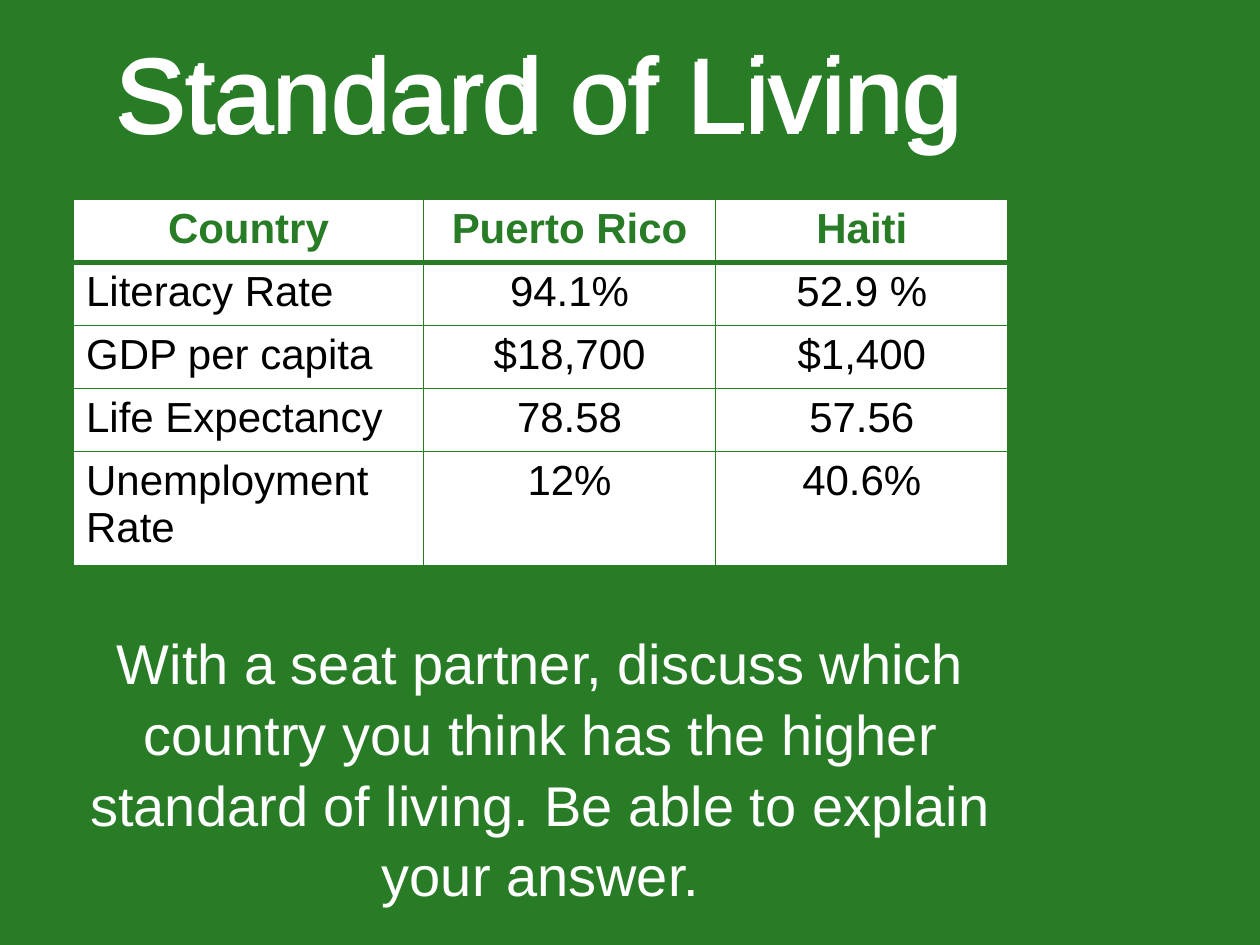
from dataclasses import dataclass

from lxml.etree import SubElement as Sub
from pptx import Presentation
from pptx.dml.color import RGBColor as Rgb
from pptx.enum.text import MSO_ANCHOR as Anchor, PP_ALIGN as Align
from pptx.oxml.ns import qn
from pptx.util import Pt


@dataclass(frozen=True)
class Theme:
    green: str = "287C26"
    white: str = "FFFFFF"
    black: str = "000000"
    face: str = "Arial"
    head: int = 60
    body: int = 32
    cell: int = 24


@dataclass(frozen=True)
class Box:
    left: float
    top: float
    width: float
    height: float

    def pts(self) -> list:
        return [Pt(v) for v in (self.left, self.top, self.width, self.height)]


@dataclass(frozen=True)
class Row:
    name: str
    rico: str
    haiti: str
    height: float = 36


THEME = Theme()
HEAD = Box(12, 18, 594, 66)
GRID = Box(42, 114, 534, 209)
TASK = Box(24, 354, 570, 163)
COLS = (200, 167, 167)
ROWS = (
    Row("Country", "Puerto Rico", "Haiti"),
    Row("Literacy Rate", "94.1%", "52.9 %"),
    Row("GDP per capita", "$18,700", "$1,400"),
    Row("Life Expectancy", "78.58", "57.56"),
    Row("Unemployment Rate", "12%", "40.6%", 65),
)


def apply(item, vals: dict) -> None:
    for key, val in vals.items():
        setattr(item, key, val)


def write(frame, text: str, size: int, color: str, align=Align.CENTER, bold=False) -> None:
    para = frame.paragraphs[0]
    para.alignment = align
    run = para.add_run()
    run.text = text
    apply(run.font, {"name": THEME.face, "size": Pt(size), "bold": bold})
    run.font.color.rgb = Rgb.from_string(color)


def glow(shape) -> None:
    fx = Sub(shape._element.spPr, qn("a:effectLst"))
    cast = Sub(fx, qn("a:outerShdw"), dist=str(Pt(2.5)), dir="8100000", algn="ctr")
    Sub(cast, qn("a:srgbClr"), val=THEME.white)


def edge(cell, widths: dict) -> None:
    props = cell._tc.get_or_add_tcPr()
    for side, width in widths.items():
        line = Sub(props, qn(f"a:ln{side}"), w=str(Pt(width)))
        Sub(Sub(line, qn("a:solidFill")), qn("a:srgbClr"), val=THEME.green)


def draw_head(slide) -> None:
    shape = slide.shapes.title
    apply(shape, dict(zip(("left", "top", "width", "height"), HEAD.pts())))
    apply(shape.text_frame, {"vertical_anchor": Anchor.MIDDLE, "word_wrap": True})
    write(shape.text_frame, "Standard of Living", THEME.head, THEME.white)
    glow(shape)


def draw_grid(slide) -> None:
    table = slide.shapes.add_table(len(ROWS), len(COLS), *GRID.pts()).table
    for col, width in zip(table.columns, COLS):
        col.width = Pt(width)
    for r, row in enumerate(ROWS):
        table.rows[r].height = Pt(row.height)
        for c, text in enumerate((row.name, row.rico, row.haiti)):
            cell = table.cell(r, c)
            top, low = (3 if r == 1 else 1), (3 if r == 0 else 1)
            edge(cell, {"L": 1, "R": 1, "T": top, "B": low})
            cell.fill.solid()
            cell.fill.fore_color.rgb = Rgb.from_string(THEME.white)
            align = Align.LEFT if r and not c else Align.CENTER
            color = THEME.black if r else THEME.green
            write(cell.text_frame, text, THEME.cell, color, align, r == 0)


def draw_task(slide) -> None:
    frame = slide.shapes.add_textbox(*TASK.pts()).text_frame
    frame.word_wrap = True
    text = (
        "With a seat partner, discuss which country you think has the higher "
        "standard of living. Be able to explain your answer."
    )
    write(frame, text, THEME.body, THEME.white)
    frame.paragraphs[0].line_spacing = 1.05


def main() -> None:
    deck = Presentation()
    apply(deck, {"slide_width": Pt(720), "slide_height": Pt(540)})
    slide = deck.slides.add_slide(deck.slide_layouts[5])
    back = slide.background.fill
    back.solid()
    back.fore_color.rgb = Rgb.from_string(THEME.green)
    draw_head(slide)
    draw_grid(slide)
    draw_task(slide)
    deck.save("out.pptx")


if __name__ == "__main__":
    main()
